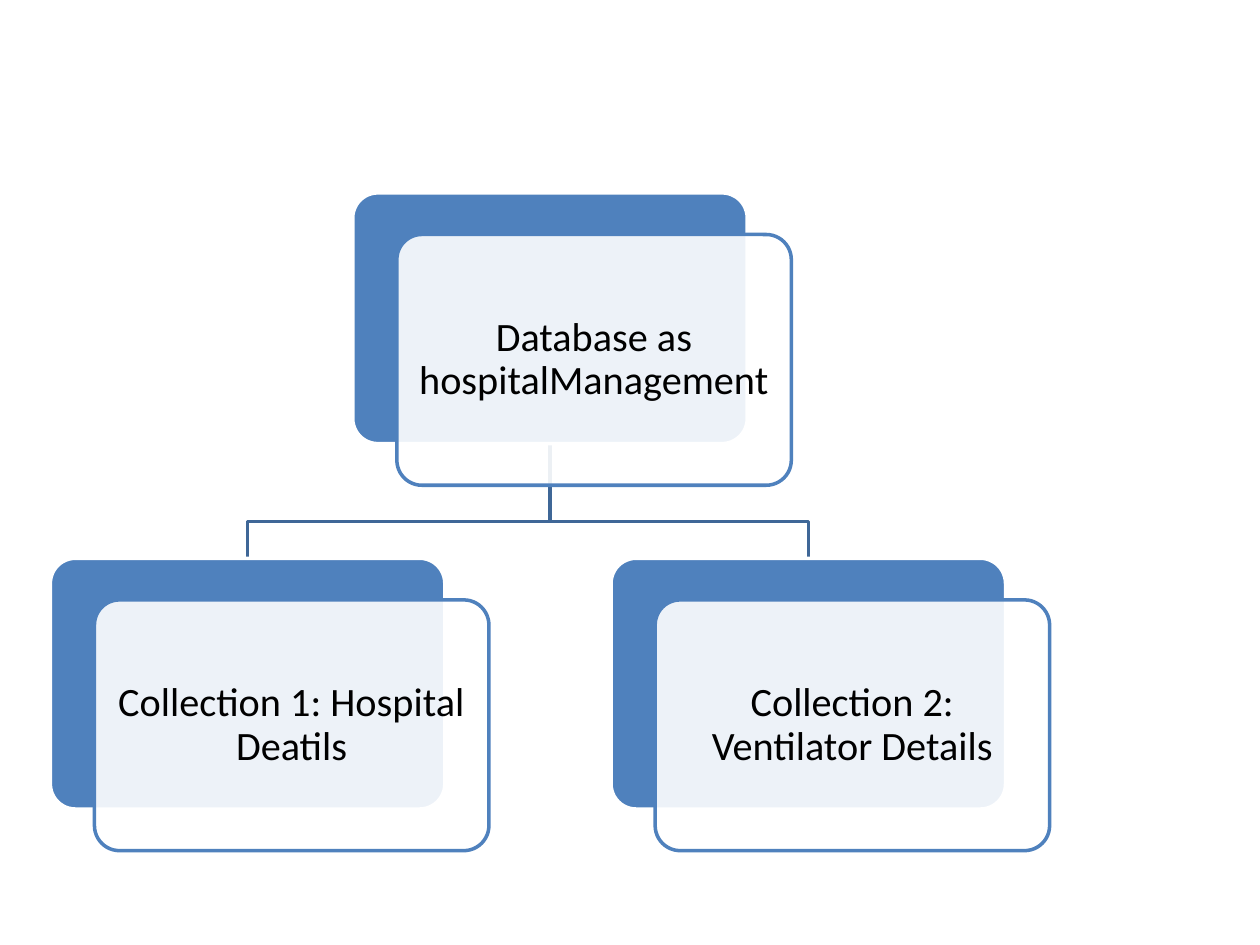
import pptx
import pptx.util
import pptx.dml.color
import pptx.enum.shapes
import pptx.enum.text
import pptx.oxml
import pptx.oxml.ns

Pt = pptx.util.Pt
COLORS = {"blue": "4F81BD", "link": "3F6797", "white": "FFFFFF", "text": "000000"}
WIDE, HIGH = 225.4, 143.3      # card size
SHIFT_X, SHIFT_Y = 25.2, 23.8  # front card against back card
ROOT = (201.6, 110.2, "Database as hospitalManagement")
LEAVES = [
    (28.8, 319, "Collection 1: Hospital Deatils"),
    (349.2, 319, "Collection 2: Ventilator Details"),
]


def color(name):
    return pptx.dml.color.RGBColor.from_string(COLORS[name])


def outline(shape, name):
    shape.shadow.inherit = False
    shape.line.color.rgb = color(name)
    shape.line.width = Pt(2)


def link(slide, leaf):
    """Draw an elbow line from the root card down to a leaf card."""
    start, end = ROOT[0] + WIDE / 2, leaf[0] + WIDE / 2
    top, bend, low = ROOT[1] + HIGH, 298, leaf[1]
    pen = slide.shapes.build_freeform(Pt(start), Pt(top))
    turns = [(start, bend), (end, bend), (end, low)]
    pen.add_line_segments([(Pt(x), Pt(y)) for x, y in turns], close=False)
    shape = pen.convert_to_shape()
    shape.fill.background()
    outline(shape, "link")


def card(slide, left, top, fill, line):
    kind = pptx.enum.shapes.MSO_SHAPE.ROUNDED_RECTANGLE
    shape = slide.shapes.add_shape(kind, Pt(left), Pt(top), Pt(WIDE), Pt(HIGH))
    shape.adjustments[0] = 0.1
    shape.fill.solid()
    shape.fill.fore_color.rgb = color(fill)
    outline(shape, line)
    return shape


def fade(shape, percent):
    """Set the opacity of a solid fill."""
    tint = shape.fill._xPr.find(".//" + pptx.oxml.ns.qn("a:srgbClr"))
    alpha = pptx.oxml.parse_xml(
        f'<a:alpha {pptx.oxml.ns.nsdecls("a")} val="{percent * 1000}"/>')
    tint.append(alpha)


def label(shape, text):
    frame = shape.text_frame
    frame.word_wrap = True
    frame.vertical_anchor = pptx.enum.text.MSO_ANCHOR.MIDDLE
    frame.margin_left = frame.margin_right = Pt(6.9)
    frame.margin_top = frame.margin_bottom = Pt(6.9)
    para = frame.paragraphs[0]
    para.text = text
    para.alignment = pptx.enum.text.PP_ALIGN.CENTER
    para.line_spacing = 0.9
    para.font.name = "Calibri"
    para.font.size = Pt(23)
    para.font.color.rgb = color("text")


def node(slide, left, top, text):
    """Draw a blue card with a labelled, see-through card before it."""
    card(slide, left, top, "blue", "white")
    front = card(slide, left + SHIFT_X, top + SHIFT_Y, "white", "blue")
    fade(front, 90)
    label(front, text)


def main():
    deck = pptx.Presentation()
    deck.slide_width, deck.slide_height = Pt(720), Pt(540)
    slide = deck.slides.add_slide(deck.slide_layouts[6])

    # Links lie behind the cards
    for leaf in reversed(LEAVES):
        link(slide, leaf)

    # Database and its collections
    for item in [ROOT, *LEAVES]:
        node(slide, *item)

    deck.save("out.pptx")


main()
